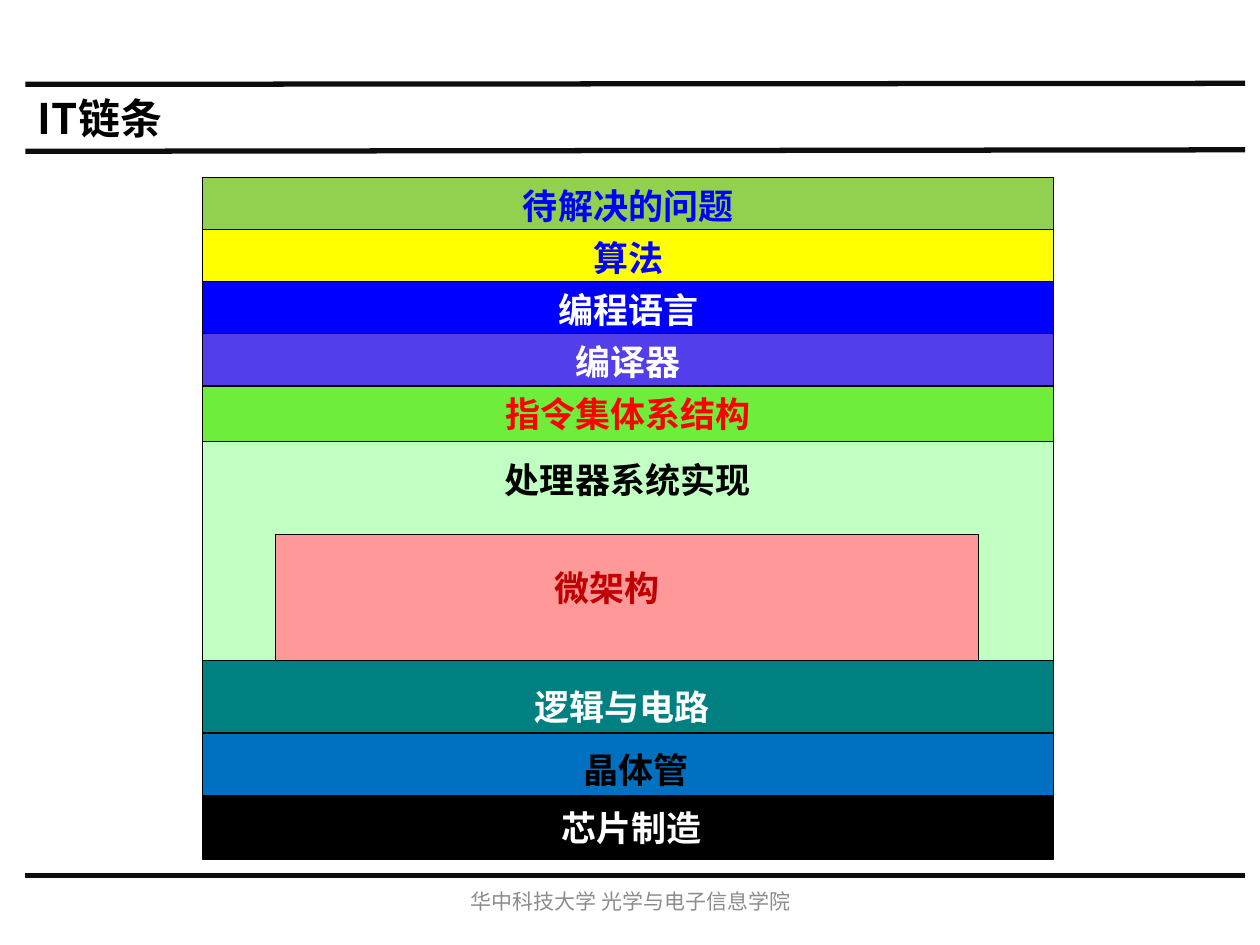
from lxml.etree import SubElement
from pptx import Presentation
from pptx.dml.color import RGBColor
from pptx.enum.shapes import MSO_CONNECTOR, MSO_SHAPE
from pptx.enum.text import MSO_ANCHOR, MSO_AUTO_SIZE, PP_ALIGN
from pptx.oxml.ns import qn
from pptx.util import Cm, Pt

BLACK = RGBColor(0x00, 0x00, 0x00)
WHITE = RGBColor(0xFF, 0xFF, 0xFF)
RULE = RGBColor(0x0D, 0x0D, 0x0D)
GRAY = RGBColor(0x8C, 0x8C, 0x8C)
BLUE = RGBColor(0x00, 0x00, 0xFF)
RED = RGBColor(0xFF, 0x00, 0x00)
DARK_RED = RGBColor(0xC0, 0x00, 0x00)
OLIVE = RGBColor(0x92, 0xD0, 0x50)
YELLOW = RGBColor(0xFF, 0xFF, 0x00)
VIOLET = RGBColor(0x52, 0x3E, 0xEA)
LIME = RGBColor(0x6E, 0xED, 0x3B)
GREEN = RGBColor(0x00, 0xFF, 0x00)
PINK = RGBColor(0xFF, 0x99, 0x99)
TEAL = RGBColor(0x00, 0x80, 0x80)
AZURE = RGBColor(0x00, 0x70, 0xC0)

STACK_LEFT, STACK_WIDTH = 4.09, 17.15
BAND_TOP, BAND_STEP, BAND_HEIGHT = 3.58, 1.05, 1.12


def write(shape, text, color, size=20, font="Arial", bold=True,
          align=PP_ALIGN.CENTER, anchor=MSO_ANCHOR.MIDDLE, wrap=True):
    frame = shape.text_frame
    frame.auto_size = MSO_AUTO_SIZE.NONE
    frame.word_wrap = wrap
    frame.vertical_anchor = anchor
    para = frame.paragraphs[0]
    para.alignment = align
    span = para.add_run()
    span.text = text
    span.font.name = font
    span.font.size = Pt(size)
    span.font.bold = bold
    span.font.color.rgb = color
    if font == "Noto Sans CJK SC":
        SubElement(span.font._element, qn("a:ea"), typeface=font)


def add_block(page, left, top, width, height, color):
    block = page.shapes.add_shape(
        MSO_SHAPE.RECTANGLE, Cm(left), Cm(top), Cm(width), Cm(height))
    block.shadow.inherit = False
    block.fill.solid()
    block.fill.fore_color.rgb = color
    block.line.color.rgb = BLACK
    block.line.width = Pt(0.75)
    return block


deck = Presentation()
deck.slide_width, deck.slide_height = Cm(25.4), Cm(19.05)
page = deck.slides.add_slide(deck.slide_layouts[5])

# Rules around the title and above the footer
for start, end in [(3.05, 3.02), (1.7, 1.68), (17.65, 17.65)]:
    rule = page.shapes.add_connector(
        MSO_CONNECTOR.STRAIGHT, Cm(0.51), Cm(start), Cm(25.1), Cm(end))
    rule.line.color.rgb = RULE
    rule.line.width = Pt(3)
    SubElement(rule._element.spPr, qn("a:effectLst"))

title = page.shapes.title
title.left, title.top, title.width, title.height = Cm(0.51), Cm(1.73), Cm(24.61), Cm(1.27)
write(title, "IT链条", BLACK, size=24, font="Noto Sans CJK SC", align=PP_ALIGN.LEFT)

footer = page.shapes.add_textbox(Cm(8.69), Cm(17.65), Cm(8.05), Cm(1.02))
write(footer, "华中科技大学 光学与电子信息学院", GRAY, size=12, font="Calibri", bold=False)

# Processor system, behind the bands and its microarchitecture
system = add_block(page, STACK_LEFT, 8.86, STACK_WIDTH, 4.45, GREEN)
SubElement(system.fill._xPr.find(f".//{qn('a:srgbClr')}"), qn("a:alpha"), val="24000")

# Software bands, evenly stepped
bands = [
    ("待解决的问题", OLIVE, BLUE),
    ("算法", YELLOW, BLUE),
    ("编程语言", BLUE, WHITE),
    ("编译器", VIOLET, WHITE),
    ("指令集体系结构", LIME, RED),
]
for index, (text, fill, color) in enumerate(bands):
    band = add_block(page, STACK_LEFT, BAND_TOP + index * BAND_STEP,
                     STACK_WIDTH, BAND_HEIGHT, fill)
    write(band, text, color)

# Hardware blocks
add_block(page, 5.56, 10.77, 14.17, 2.54, PINK)
for top, height, fill in [(13.31, 1.47, TEAL), (14.78, 1.27, AZURE), (16.05, 1.27, BLACK)]:
    add_block(page, STACK_LEFT, top, STACK_WIDTH, height, fill)

# Hardware labels
labels = [
    ("微架构", 10.92, 11.3, 2.67, DARK_RED),
    ("处理器系统实现", 9.93, 9.12, 5.54, BLACK),
    ("逻辑与电路", 10.52, 13.69, 4.09, WHITE),
    ("晶体管", 11.51, 14.96, 2.67, BLACK),
    ("芯片制造", 11.07, 16.13, 3.38, WHITE),
]
for text, left, top, width, color in labels:
    label = page.shapes.add_textbox(Cm(left), Cm(top), Cm(width), Cm(BAND_HEIGHT))
    write(label, text, color, align=PP_ALIGN.LEFT, anchor=MSO_ANCHOR.TOP, wrap=False)

deck.save("out.pptx")
